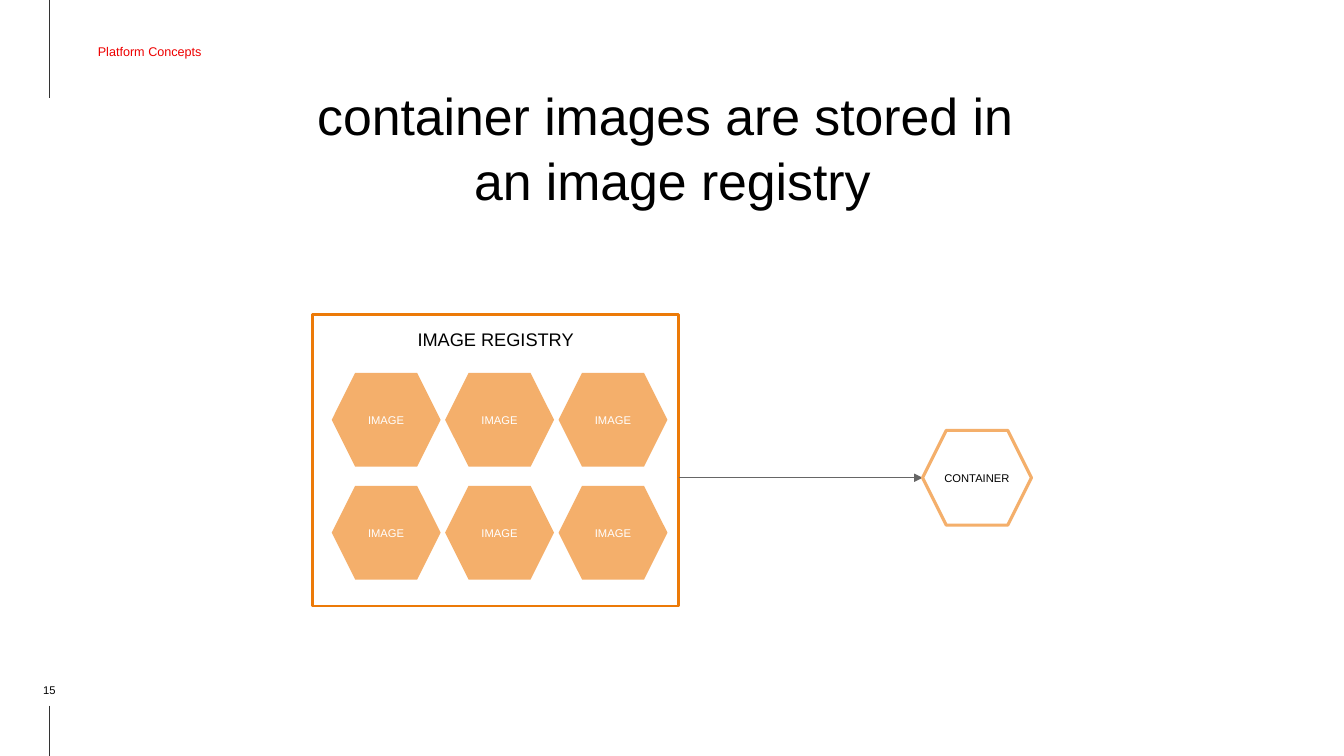
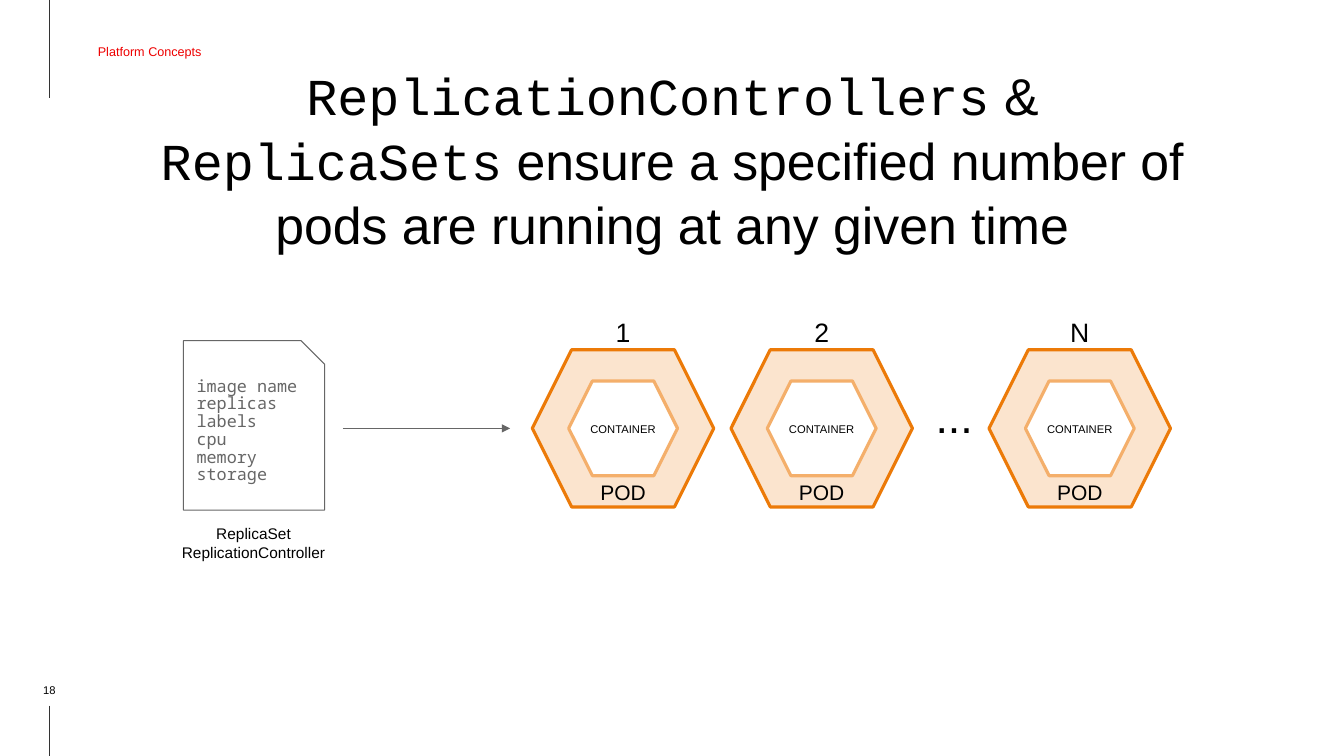
from pptx import Presentation
from pptx.dml.color import RGBColor
from pptx.enum.shapes import MSO_CONNECTOR, MSO_SHAPE
from pptx.enum.text import MSO_ANCHOR, MSO_AUTO_SIZE, PP_ALIGN
from pptx.oxml.ns import qn
from pptx.util import Inches, Pt
from lxml import etree

STRAIGHT = MSO_CONNECTOR.STRAIGHT
RECTANGLE, HEXAGON, SNIPPED = MSO_SHAPE.RECTANGLE, MSO_SHAPE.HEXAGON, MSO_SHAPE.SNIP_1_RECTANGLE
TOP, MIDDLE, BOTTOM = MSO_ANCHOR.TOP, MSO_ANCHOR.MIDDLE, MSO_ANCHOR.BOTTOM
LEFT, CENTER = PP_ALIGN.LEFT, PP_ALIGN.CENTER

COLORS = {
    "text": "000000", "white": "FFFFFF", "red": "EE0000", "rule": "333333",
    "gray": "666666", "orange": "EC7A08", "light_orange": "F4AF6B", "pale": "FBE4CE",
}
SANS, CODE, MONO = "Arial", "Courier New", "Noto Sans Mono"
TITLE_ONLY = 5
TITLE_SIZE = 37
SANS_SPACING, MONO_SPACING = 1.04, 0.88
INSET = 0.13
HEXAGON_WIDTH, HEXAGON_HEIGHT = 1.08, 0.94
POD_WIDTH, POD_HEIGHT = 1.8, 1.56


def color(name):
    return RGBColor.from_string(COLORS[name])


def write(shape, paragraphs, size, ink="text", align=CENTER, anchor=MIDDLE,
          inset=0, spacing=SANS_SPACING):
    """Fill a shape with paragraphs, each a list of (text, font name) runs."""
    frame = shape.text_frame
    frame.word_wrap = True
    frame.auto_size = MSO_AUTO_SIZE.NONE
    frame.vertical_anchor = anchor
    frame.margin_left = frame.margin_right = Inches(inset)
    frame.margin_top = frame.margin_bottom = Inches(inset)
    for index, runs in enumerate(paragraphs):
        paragraph = frame.add_paragraph() if index else frame.paragraphs[0]
        paragraph.alignment = align
        paragraph.line_spacing = spacing
        paragraph.space_before = Pt(0)
        for text, font_name in runs:
            for number, line in enumerate(text.split("\n")):
                if number:
                    paragraph.add_line_break()
                run = paragraph.add_run()
                run.text = line
                run.font.name = font_name
                run.font.size = Pt(size)
                run.font.color.rgb = color(ink)


def add_label(slide, box, text, size, **style):
    label = slide.shapes.add_textbox(*map(Inches, box))
    write(label, [[(text, SANS)]], size, **style)
    return label


def add_figure(slide, kind, box, fill=None, line=None, line_width=2.25):
    shape = slide.shapes.add_shape(kind, *map(Inches, box))
    shape.shadow.inherit = False
    if fill:
        shape.fill.solid()
        shape.fill.fore_color.rgb = color(fill)
    else:
        shape.fill.background()
    if line:
        shape.line.color.rgb = color(line)
        shape.line.width = Pt(line_width)
    else:
        shape.line.fill.background()
    return shape


def add_line(slide, start, end, ink, arrow=False):
    line = slide.shapes.add_connector(STRAIGHT, *map(Inches, (*start, *end)))
    line.line.color.rgb = color(ink)
    line.line.width = Pt(0.75)
    if arrow:
        etree.SubElement(line.line._get_or_add_ln(), qn("a:tailEnd"), type="triangle")
    etree.SubElement(line._element.spPr, qn("a:effectLst"))


def add_container(slide, left, top):
    shape = add_figure(slide, HEXAGON, (left, top, HEXAGON_WIDTH, HEXAGON_HEIGHT),
                       "white", "light_orange")
    write(shape, [[("CONTAINER", SANS)]], 8)


def add_pod(slide, left, top, number):
    add_figure(slide, HEXAGON, (left, top, POD_WIDTH, POD_HEIGHT), "pale", "orange")
    add_container(slide, left + (POD_WIDTH - HEXAGON_WIDTH) / 2,
                  top + (POD_HEIGHT - HEXAGON_HEIGHT) / 2)
    add_label(slide, (left, top + 1.29, POD_WIDTH, 0.24), "POD", 15)
    add_label(slide, (left, top - 0.38, POD_WIDTH, 0.39), number, 19)


def add_base_slide(presentation, page, title_runs, title_top):
    """Start a slide with the title, section name, page number and margin rules."""
    slide = presentation.slides.add_slide(presentation.slide_layouts[TITLE_ONLY])
    for start, end in ((0, 0.97), (7, 7.5)):
        add_line(slide, (0.49, start), (0.49, end), "rule")
    add_label(slide, (0.97, 0.06, 5.05, 0.89), "Platform Concepts", 9, ink="red", align=LEFT)
    add_label(slide, (0.09, 6.75, 0.8, 0.16), page, 8, anchor=BOTTOM)
    title = slide.shapes.title
    title.left, title.top = Inches(1.21), Inches(title_top)
    title.width, title.height = Inches(10.92), Inches(1.55)
    write(title, [title_runs], TITLE_SIZE, anchor=BOTTOM, inset=INSET)
    return slide


def build_registry_slide(presentation):
    slide = add_base_slide(
        presentation, "15",
        [("container images are stored in \nan image registry", SANS)], 0.67)

    # Registry with its grid of images
    registry = add_figure(slide, RECTANGLE, (3.1, 3.12, 3.63, 2.89), line="orange", line_width=1.5)
    write(registry, [[("IMAGE REGISTRY", SANS)]], 13, anchor=TOP, inset=INSET)
    for row in range(2):
        for column in range(3):
            box = (3.29 + column * 1.125, 3.7 + row * 1.12, HEXAGON_WIDTH, 0.93)
            image = add_figure(slide, HEXAGON, box, "light_orange")
            write(image, [[("IMAGE", SANS)]], 8, ink="white")

    # Container started from an image
    add_line(slide, (6.73, 4.74), (9.15, 4.74), "gray", arrow=True)
    add_container(slide, 9.15, 4.27)


def build_replica_slide(presentation):
    slide = add_base_slide(presentation, "18", [
        ("ReplicationControllers", CODE), (" & ", SANS), ("ReplicaSets", CODE),
        (" ensure a specified number of pods are running at any given time", SANS),
    ], 1.11)

    # Definition document
    document = add_figure(slide, SNIPPED, (1.82, 3.38, 1.4, 1.68), "white", "gray", 0.75)
    fields = ("image name", "replicas", "labels\ncpu\nmemory", "storage")
    write(document, [[(field, MONO)] for field in fields], 12, ink="gray",
          align=LEFT, inset=INSET, spacing=MONO_SPACING)
    add_label(slide, (1.62, 5.06, 1.79, 0.6), "ReplicaSet\nReplicationController", 11,
              anchor=TOP, inset=INSET)
    add_line(slide, (3.4, 4.25), (5.06, 4.25), "gray", arrow=True)

    # Running pods
    for left, number in ((5.28, "1"), (7.25, "2"), (9.81, "N")):
        add_pod(slide, left, 3.47, number)
    add_label(slide, (9.13, 3.56, 0.67, 1.11), "...", 32)


def main():
    presentation = Presentation()
    presentation.slide_width, presentation.slide_height = Inches(13.33), Inches(7.5)
    build_registry_slide(presentation)
    build_replica_slide(presentation)
    presentation.save("out.pptx")


if __name__ == "__main__":
    main()
